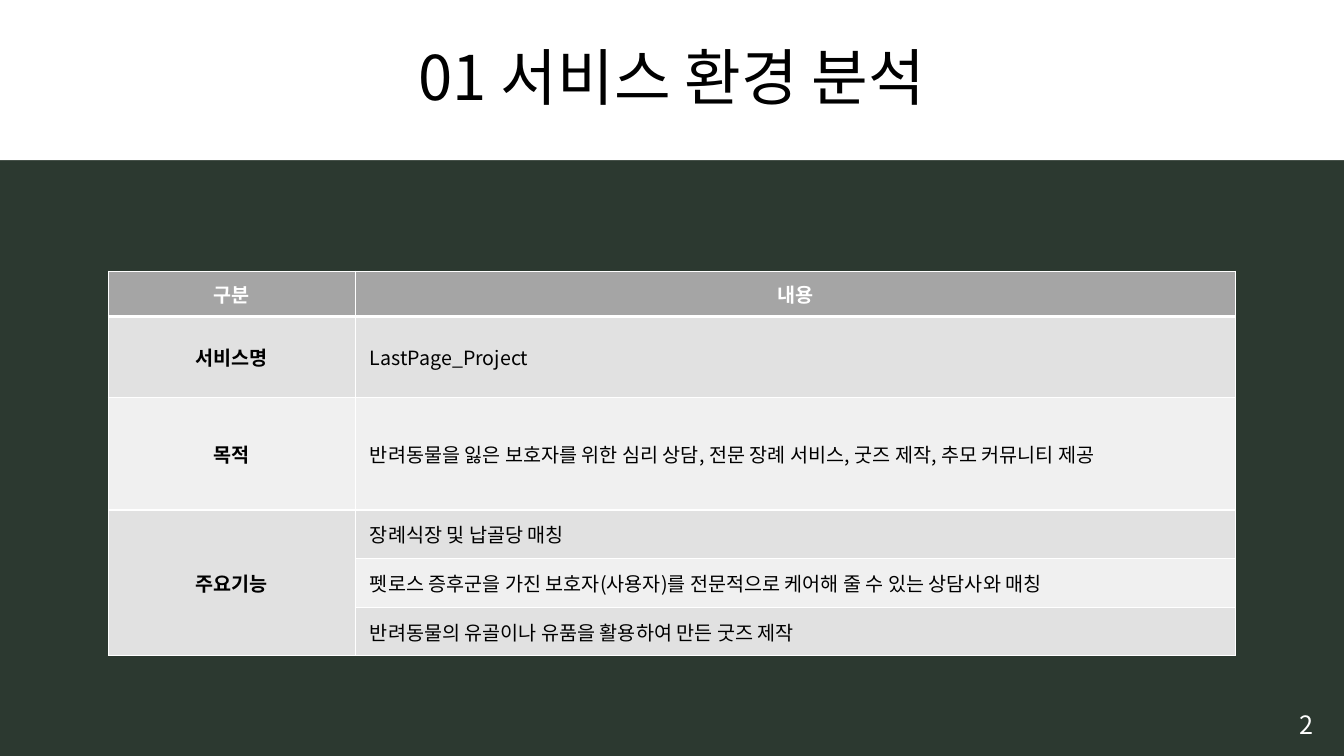
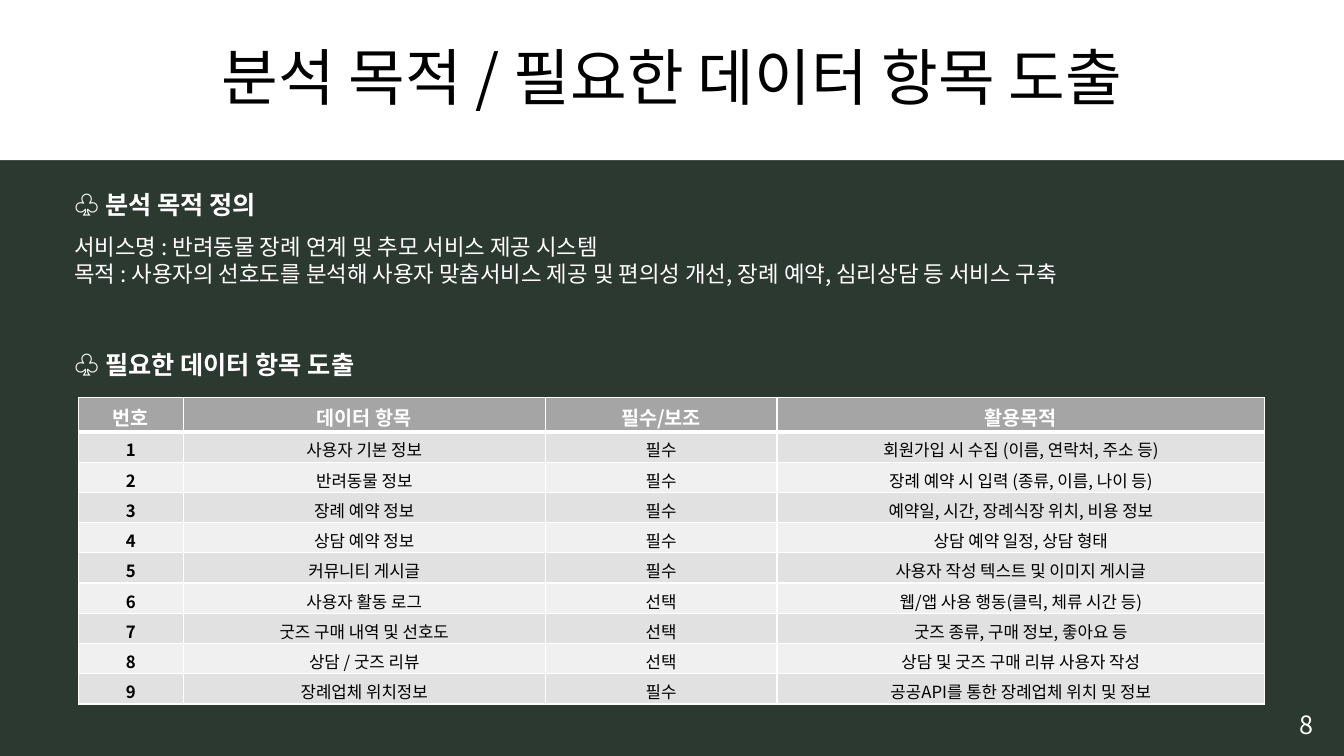
from lxml import etree
from pptx import Presentation
from pptx import util as u
from pptx.dml import color
from pptx.enum import shapes, text
from pptx.oxml import ns

WIDTH, HEIGHT = 960, 540
WHITE, BLACK, GREEN = "FFFFFF", "000000", "2C3930"
HEADER, ODD_ROW, EVEN_ROW = "A5A5A5", "E1E1E1", "F0F0F0"
FONT = "Noto Sans CJK KR"
CENTER, LEFT = text.PP_ALIGN.CENTER, text.PP_ALIGN.LEFT


def rgb(value):
    return color.RGBColor.from_string(value)


class Report:
    """Holds the deck style and the current page, and draws each kind of element."""

    def __init__(self):
        self.deck = Presentation()
        self.deck.slide_width, self.deck.slide_height = u.Pt(WIDTH), u.Pt(HEIGHT)
        self.page = None

    def add_page(self, title, number):
        self.page = self.deck.slides.add_slide(self.deck.slide_layouts[6])
        background = self.page.background.fill
        background.solid()
        background.fore_color.rgb = rgb(GREEN)
        band = self.page.shapes.add_shape(
            shapes.MSO_SHAPE.RECTANGLE, 0, 0, u.Pt(WIDTH), u.Pt(114.5))
        band.shadow.inherit = False
        band.fill.solid()
        band.fill.fore_color.rgb = rgb(WHITE)
        band.line.fill.background()
        band.text_frame.vertical_anchor = text.MSO_ANCHOR.MIDDLE
        para = band.text_frame.paragraphs[0]
        self.set_text(para, title, 44, BLACK, align=CENTER)
        para.line_spacing = 0.9
        self.add_text(906.5, 503.3, 53.5, 29, [(number, 18, False, None)], CENTER)

    def set_text(self, para, words, size, ink, bold=False, align=LEFT):
        para.text = words
        para.alignment = align
        font = para.font
        font.name, font.size, font.bold = FONT, u.Pt(size), bold
        font.color.rgb = rgb(ink)
        properties = para._p.pPr.find(ns.qn("a:defRPr"))
        etree.SubElement(properties, ns.qn("a:ea"), typeface=FONT)

    def add_text(self, left, top, width, height, lines, align=LEFT, wrap=True):
        box = self.page.shapes.add_textbox(u.Pt(left), u.Pt(top), u.Pt(width), u.Pt(height))
        frame = box.text_frame
        frame.word_wrap = wrap
        frame.auto_size = text.MSO_AUTO_SIZE.SHAPE_TO_FIT_TEXT
        for index, (words, size, bold, spacing) in enumerate(lines):
            para = frame.add_paragraph() if index else frame.paragraphs[0]
            self.set_text(para, words, size, WHITE, bold, align)
            if spacing:
                para.line_spacing = spacing

    def add_borders(self, cell, top, bottom):
        properties = cell._tc.get_or_add_tcPr()
        for side, weight in (("L", 1), ("R", 1), ("T", top), ("B", bottom)):
            line = etree.SubElement(properties, ns.qn("a:ln" + side), w=str(u.Pt(weight)))
            fill = etree.SubElement(line, ns.qn("a:solidFill"))
            etree.SubElement(fill, ns.qn("a:srgbClr"), val=WHITE)

    def add_table(self, left, top, widths, heights, rows, size, align,
                  indent=7.2, bottom_margin=3.6):
        table = self.page.shapes.add_table(
            len(rows), len(widths), u.Pt(left), u.Pt(top),
            u.Pt(sum(widths)), u.Pt(sum(heights))).table
        for column, width in zip(table.columns, widths):
            column.width = u.Pt(width)
        for r, (words_in_row, height) in enumerate(zip(rows, heights)):
            table.rows[r].height = u.Pt(height)
            for c, words in enumerate(words_in_row):
                cell = table.cell(r, c)
                heading = r == 0
                self.add_borders(cell, 3 if r == 1 else 1, 3 if heading else 1)
                cell.fill.solid()
                cell.fill.fore_color.rgb = rgb(
                    HEADER if heading else ODD_ROW if r % 2 else EVEN_ROW)
                cell.vertical_anchor = text.MSO_ANCHOR.MIDDLE
                cell.margin_bottom = u.Pt(bottom_margin)
                if c and not heading:
                    cell.margin_left = u.Pt(indent)
                self.set_text(cell.text_frame.paragraphs[0], words,
                              14 if heading else size, WHITE if heading else BLACK,
                              heading or c == 0, CENTER if heading or c == 0 else align)
        return table


def main():
    report = Report()

    report.add_page("01 서비스 환경 분석", "2")
    overview = report.add_table(
        77.5, 193.7, [176.4, 628.6], [32.4, 57.6, 80.6, 34.7, 34.7, 34.7],
        [("구분", "내용"),
         ("서비스명", "LastPage_Project"),
         ("목적", "반려동물을 잃은 보호자를 위한 심리 상담, 전문 장례 서비스, 굿즈 제작, 추모 커뮤니티 제공"),
         ("주요기능", "장례식장 및 납골당 매칭"),
         ("", "펫로스 증후군을 가진 보호자(사용자)를 전문적으로 케어해 줄 수 있는 상담사와 매칭"),
         ("", "반려동물의 유골이나 유품을 활용하여 만든 굿즈 제작")],
        14, LEFT, indent=10.4)
    overview.cell(3, 0).merge(overview.cell(5, 0))

    report.add_page("분석 목적 / 필요한 데이터 항목 도출", "8")
    report.add_text(46, 131.8, 868, 77.8, [
        ("♧ 분석 목적 정의", 18, True, None),
        ("서비스명 : 반려동물 장례 연계 및 추모 서비스 제공 시스템", 16, False, 1.5),
        ("목적 : 사용자의 선호도를 분석해 사용자 맞춤서비스 제공 및 편의성 개선, "
         "장례 예약, 심리상담 등 서비스 구축", 16, False, None)])
    report.add_text(46, 246.2, 240.5, 29,
                    [("♧ 필요한 데이터 항목 도출", 18, True, None)], wrap=False)
    items = [
        ("사용자 기본 정보", "필수", "회원가입 시 수집 (이름, 연락처, 주소 등)"),
        ("반려동물 정보", "필수", "장례 예약 시 입력 (종류, 이름, 나이 등)"),
        ("장례 예약 정보", "필수", "예약일, 시간, 장례식장 위치, 비용 정보"),
        ("상담 예약 정보", "필수", "상담 예약 일정, 상담 형태"),
        ("커뮤니티 게시글", "필수", "사용자 작성 텍스트 및 이미지 게시글"),
        ("사용자 활동 로그", "선택", "웹/앱 사용 행동(클릭, 체류 시간 등)"),
        ("굿즈 구매 내역 및 선호도", "선택", "굿즈 종류, 구매 정보, 좋아요 등"),
        ("상담 / 굿즈 리뷰", "선택", "상담 및 굿즈 구매 리뷰 사용자 작성"),
        ("장례업체 위치정보", "필수", "공공API를 통한 장례업체 위치 및 정보"),
    ]
    numbered = [(str(number), *item) for number, item in enumerate(items, 1)]
    report.add_table(
        56, 284, [75, 258.5, 165.5, 348.5], [24.5] + [21.6] * len(items),
        [("번호", "데이터 항목", "필수/보조", "활용목적")] + numbered,
        12, CENTER, bottom_margin=0)

    report.deck.save("out.pptx")


if __name__ == "__main__":
    main()
